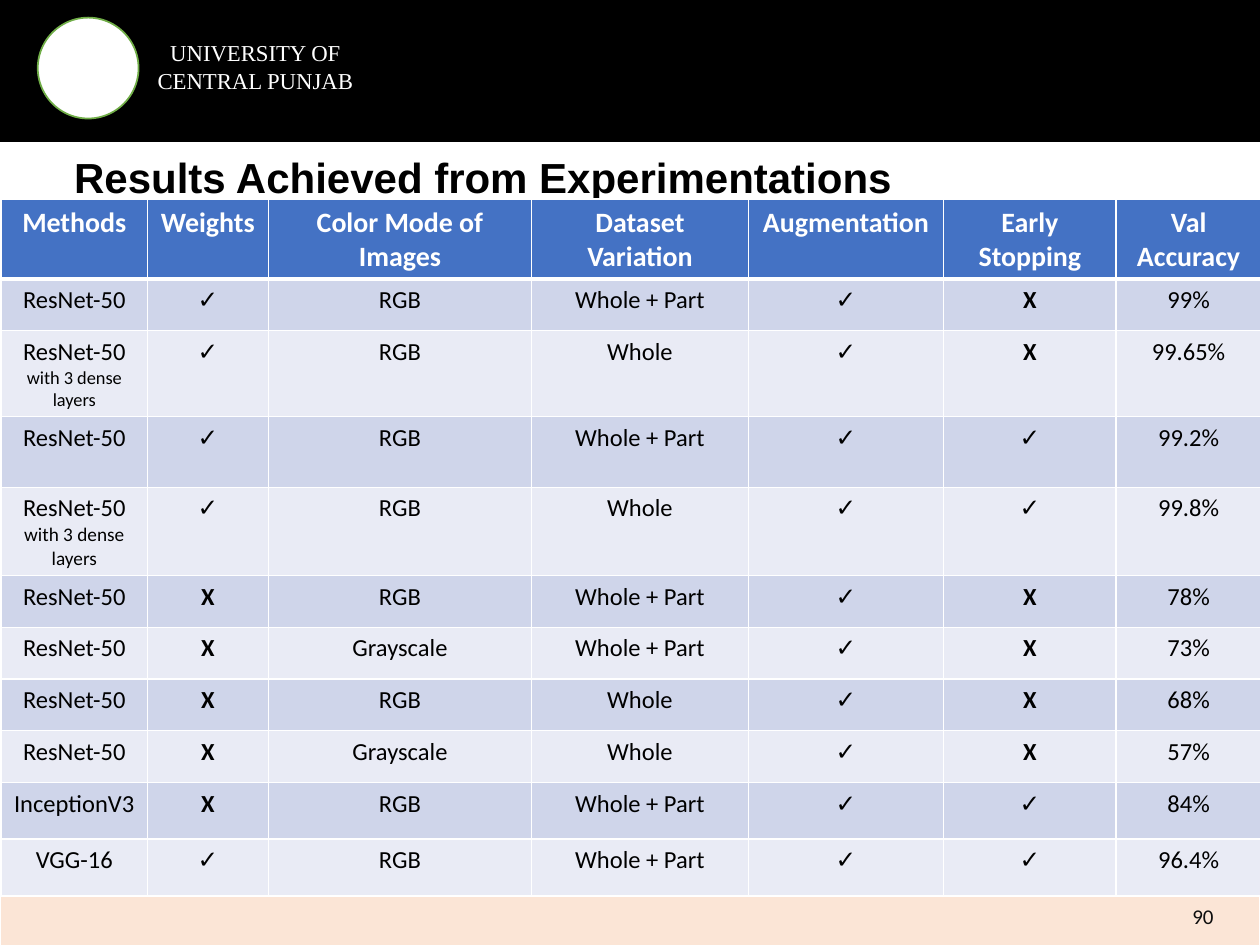
"""Build the slide of experiment results; lengths are percent of the slide's size."""
import pptx
import pptx.util
import pptx.dml.color
import pptx.enum.shapes
import pptx.enum.text
import pptx.oxml
import pptx.oxml.ns

Pt = pptx.util.Pt
Align = pptx.enum.text.PP_ALIGN
Anchor = pptx.enum.text.MSO_ANCHOR
Shape = pptx.enum.shapes.MSO_SHAPE

SIZE = pptx.util.Inches(10), pptx.util.Inches(7.5)
THEME = {
    "strip": {"fill": "FBE5D6", "line": "FFFFFF"},
    "band": {"fill": "000000", "line": "000000"},
    "badge": {"fill": "FFFFFF", "line": "70AD47"},
    "name": {"name": "Times New Roman", "size": 13, "color": "FFFFFF"},
    "page": {"name": "Calibri", "size": 12, "color": "0D0D0D"},
    "title": {"name": "Arial", "size": 24, "color": "000000", "bold": True},
    "head": {"name": "Calibri", "size": 16, "color": "FFFFFF", "bold": True},
    "body": {"name": "Calibri", "size": 14, "color": "000000", "bold": False},
    "fills": ("4472C4", "CFD5EA", "E9EBF5"),
    "rule": "FFFFFF",
}

BLOCKS = [
    ("strip", Shape.RECTANGLE, (0, 94.27, 100, 6.13)),
    ("band", Shape.RECTANGLE, (0, -0.67, 100, 15.6)),
    ("badge", Shape.OVAL, (3, 1.87, 8, 10.67)),
]
TEXTS = [
    ("name", "UNIVERSITY OF CENTRAL PUNJAB", (11, 3.47, 18.5, 7.47), Align.CENTER, Anchor.TOP),
    ("page", "90", (74.8, 94.27, 22.5, 5.33), Align.RIGHT, Anchor.MIDDLE),
    ("title", "Results Achieved from Experimentations", (4.9, 15.33, 90.9, 6.67),
     Align.LEFT, Anchor.TOP),
]
PLACE = 0.1, 21.07, 100, 73.47
COLS = 11.6, 9.6, 20.9, 17.2, 15.5, 13.7, 11.5
ROWS = 8.4, 5.47, 9.07, 7.47, 9.2, 5.47, 5.47, 5.47, 5.47, 6, 6
HEAD = ("Methods", "Weights", "Color Mode of Images", "Dataset Variation",
        "Augmentation", "Early Stopping", "Val Accuracy")
RUNS = [
    ("ResNet-50", "✓", "RGB", "Whole + Part", "✓", "X", "99%"),
    ("ResNet-50 ", "✓", "RGB", "Whole", "✓", "X", "99.65%"),
    ("ResNet-50", "✓", "RGB", "Whole + Part", "✓", "✓", "99.2%"),
    ("ResNet-50 ", "✓", "RGB", "Whole", "✓", "✓", "99.8%"),
    ("ResNet-50", "X", "RGB", "Whole + Part", "✓", "X", "78%"),
    ("ResNet-50", "X", "Grayscale", "Whole + Part", "✓", "X", "73%"),
    ("ResNet-50", "X", "RGB", "Whole", "✓", "X", "68%"),
    ("ResNet-50", "X", "Grayscale", "Whole", "✓", "X", "57%"),
    ("InceptionV3", "X", "RGB", "Whole + Part", "✓", "✓", "84%"),
    ("VGG-16", "✓", "RGB", "Whole + Part", "✓", "✓", "96.4%"),
]
NOTE = "with 3 dense layers"
NOTES = {2: 10.5, 4: 11}


def share(part, axis):
    return round(SIZE[axis] * part / 100)


def spot(box):
    return [share(part, i % 2) for i, part in enumerate(box)]


def paint(fill, color):
    fill.solid()
    fill.fore_color.rgb = pptx.dml.color.RGBColor.from_string(color)


def write(para, text, style):
    run = para.add_run()
    run.text = text
    for key, value in style.items():
        if key == "color":
            run.font.color.rgb = pptx.dml.color.RGBColor.from_string(value)
        else:
            setattr(run.font, key, Pt(value) if key == "size" else value)


def edge(cell, thick):
    props = cell._tc.get_or_add_tcPr()
    for i, side in enumerate("LRTB"):
        wide = Pt(thick if side == "B" else 1)
        props.insert(i, pptx.oxml.parse_xml(
            f'<a:ln{side} {pptx.oxml.ns.nsdecls("a")} w="{wide}"><a:solidFill>'
            f'<a:srgbClr val="{THEME["rule"]}"/></a:solidFill></a:ln{side}>'))


def add_block(slide, key, kind, box):
    block = slide.shapes.add_shape(kind, *spot(box))
    block.shadow.inherit = False
    paint(block.fill, THEME[key]["fill"])
    paint(block.line.fill, THEME[key]["line"])
    block.line.width = Pt(1)


def add_text(slide, key, text, box, align, anchor):
    frame = slide.shapes.add_textbox(*spot(box)).text_frame
    frame.word_wrap = True
    frame.vertical_anchor = anchor
    para = frame.paragraphs[0]
    para.alignment = align
    write(para, text, THEME[key])


def add_grid(slide):
    grid = slide.shapes.add_table(len(ROWS), len(COLS), *spot(PLACE)).table
    for col, part in zip(grid.columns, COLS):
        col.width = share(part, 0)
    for row, part in zip(grid.rows, ROWS):
        row.height = share(part, 1)
    for r, line in enumerate([HEAD, *RUNS]):
        tone = THEME["fills"][2 - r % 2 if r else 0]
        for c, text in enumerate(line):
            cell = grid.cell(r, c)
            paint(cell.fill, tone)
            edge(cell, 1 if r else 3)
            para = cell.text_frame.paragraphs[0]
            para.alignment = Align.CENTER
            style = THEME["body" if r else "head"]
            write(para, text, {**style, "bold": not r or text in ("✓", "X")})
            if c == 0 and r in NOTES:
                write(para, NOTE, {**style, "size": NOTES[r]})


def main():
    deck = pptx.Presentation()
    deck.slide_width, deck.slide_height = SIZE
    slide = deck.slides.add_slide(deck.slide_layouts[6])
    for block in BLOCKS:
        add_block(slide, *block)
    for text in TEXTS:
        add_text(slide, *text)
    add_grid(slide)
    deck.save("out.pptx")


if __name__ == "__main__":
    main()
